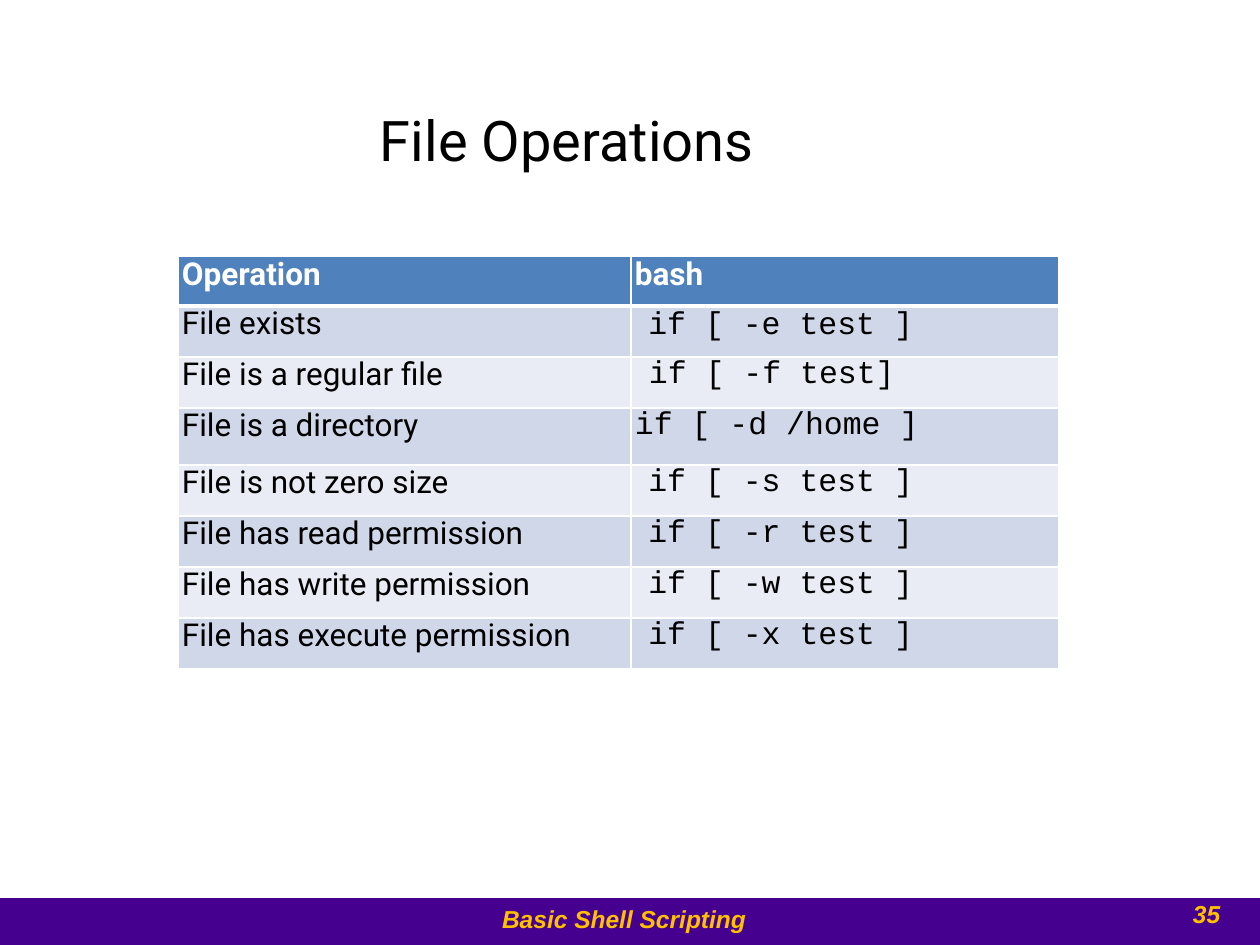
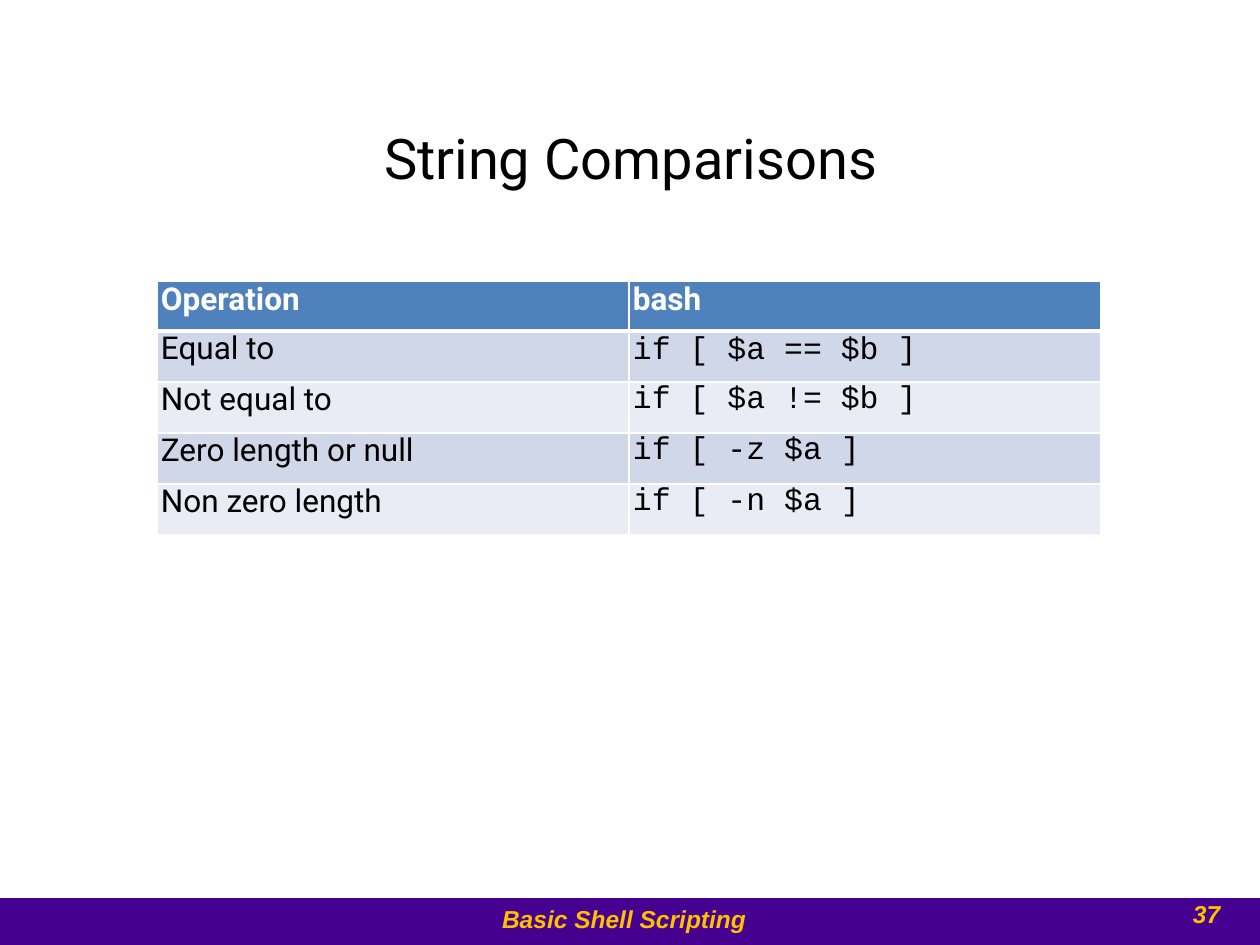
"""Build two slides of bash test operators, each with a title, a table and a footer band."""
from lxml.etree import SubElement
from pptx import Presentation
from pptx.dml.color import RGBColor
from pptx.enum.shapes import MSO_SHAPE
from pptx.enum.text import PP_ALIGN
from pptx.oxml.ns import qn
from pptx.util import Pt

PX = 914400 / 126
BAND, GOLD, WHITE, BLACK = "46008F", "FFC000", "FFFFFF", "000000"
HEADER, ROW_FILLS = "4F81BC", ["D0D7E8", "E9ECF4"]

SLIDES = [
    dict(title="File Operations", title_box=(379, 103, 400, 71), number="35",
         table_at=(178, 256), cols=[453, 428], rows=[50, 51, 51, 57, 51, 51, 51, 51],
         cells=[("Operation", "bash"),
                ("File exists", "if [ -e test ]"),
                ("File is a regular file", "if [ -f test]"),
                ("File is a directory", "if [ -d /home ]"),
                ("File is not zero size", "if [ -s test ]"),
                ("File has read permission", "if [ -r test ]"),
                ("File has write permission", "if [ -w test ]"),
                ("File has execute permission", "if [ -x test ]")],
         indents={2: 18}, right_rows=[1, 4, 5, 6, 7]),
    dict(title="String Comparisons", title_box=(383, 121, 510, 71), number="37",
         table_at=(157, 281), cols=[472, 472], rows=[50, 51, 51, 51, 51],
         cells=[("Operation", "bash"),
                ("Equal to", "if [ $a == $b ]"),
                ("Not equal to", "if [ $a != $b ]"),
                ("Zero length or null", "if [ -z $a ]"),
                ("Non zero length", "if [ -n $a ]")],
         indents={}, right_rows=[]),
]


def emu(*px):
    return [round(v * PX) for v in px]


def color(hex_text):
    return RGBColor.from_string(hex_text)


prs = Presentation()
prs.slide_width, prs.slide_height = emu(1260, 945)

for data in SLIDES:
    s = prs.slides.add_slide(prs.slide_layouts[6])
    band = s.shapes.add_shape(MSO_SHAPE.RECTANGLE, *emu(0, 898, 1260, 47))
    band.shadow.inherit = False
    band.fill.solid()
    band.fill.fore_color.rgb = color(BAND)
    band.line.fill.background()

    for text, box, left, top, size, name, hue, footer in [
        (data["title"], data["title_box"], 1, 3, 32, "Roboto", BLACK, False),
        (data["number"], (1188, 900, 38, 36), 5, 0, 14, "Arial", GOLD, True),
        ("Basic Shell Scripting", (501, 905, 260, 31), 1, 0, 14, "Arial", GOLD, True),
    ]:
        tf = s.shapes.add_textbox(*emu(*box)).text_frame
        tf.word_wrap = True
        tf.margin_left, tf.margin_top, tf.margin_right, tf.margin_bottom = emu(left, top, 0, 0)
        tf.text = text
        p = tf.paragraphs[0]
        if footer:
            p.line_spacing = Pt(16.4)
        f = p.runs[0].font
        f.name, f.size, f.bold, f.italic = name, Pt(size), footer, footer
        f.color.rgb = color(hue)

    cols, rows = data["cols"], data["rows"]
    tbl = s.shapes.add_table(len(rows), len(cols), *emu(*data["table_at"], sum(cols), sum(rows))).table
    for col, width in zip(tbl.columns, emu(*cols)):
        col.width = width
    for row, height in zip(tbl.rows, emu(*rows)):
        row.height = height

    for i, texts in enumerate(data["cells"]):
        for j, text in enumerate(texts):
            cell = tbl.cell(i, j)
            right = j == 1 and i in data["right_rows"]
            left = data["indents"].get(i, 4) if j else 4
            cell.margin_left, cell.margin_top, cell.margin_right, cell.margin_bottom = emu(
                0 if right else left, 2 if (i, j) == (1, 1) else 0, 146 if right else 0, 0)
            for side in "LRTB":
                thick = (i, side) in [(0, "B"), (1, "T")]
                ln = SubElement(cell._tc.get_or_add_tcPr(), qn(f"a:ln{side}"), w=str(Pt(3 if thick else 1)))
                SubElement(SubElement(ln, qn("a:solidFill")), qn("a:srgbClr"), val=WHITE)
            cell.fill.solid()
            cell.fill.fore_color.rgb = color(ROW_FILLS[(i - 1) % 2] if i else HEADER)
            cell.text_frame.text = text
            p = cell.text_frame.paragraphs[0]
            if right:
                p.alignment = PP_ALIGN.RIGHT
            if j == 0 or i == 0:
                p.line_spacing = Pt(20.7 if i else 21.1)
            f = p.runs[0].font
            f.name = "Courier New" if i and j else "Roboto"
            f.size, f.bold = Pt(18), i == 0
            f.color.rgb = color(BLACK if i else WHITE)

prs.save("out.pptx")
